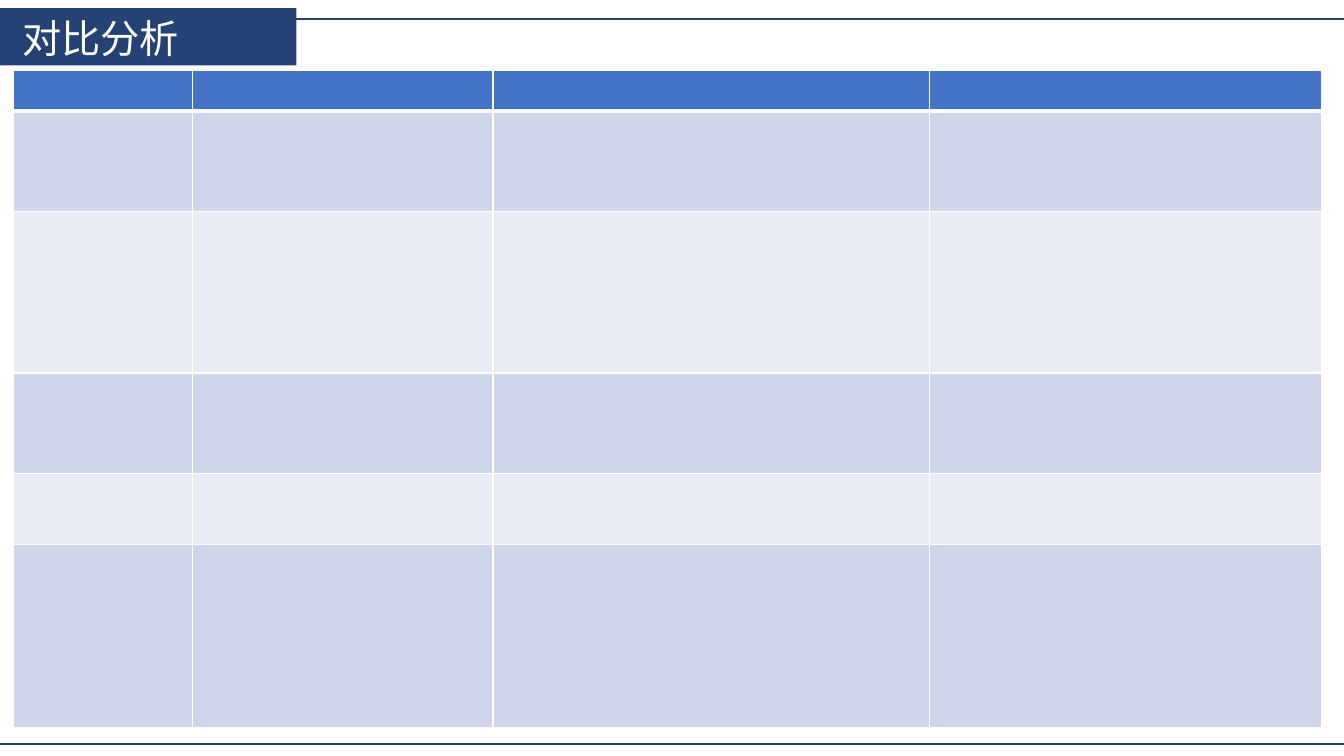
"""Build a comparison slide with a title tab, two rules and an empty banded table."""
from dataclasses import dataclass

from lxml import etree
from pptx import Presentation
from pptx.dml.color import RGBColor
from pptx.enum import shapes, text
from pptx.oxml import ns
from pptx.util import Inches, Pt


@dataclass(frozen=True)
class Theme:
    navy: RGBColor = RGBColor.from_string("254275")
    white: RGBColor = RGBColor.from_string("FFFFFF")
    header: RGBColor = RGBColor.from_string("4472C4")
    bands: tuple = (RGBColor.from_string("E9EBF5"), RGBColor.from_string("CFD5EA"))
    font: str = "Noto Sans CJK SC"
    title_size: Pt = Pt(28)
    rule_width: Pt = Pt(1.5)
    border: Pt = Pt(1)
    header_border: Pt = Pt(3)


def add_rule(slide, top):
    rule = slide.shapes.add_connector(
        shapes.MSO_CONNECTOR.STRAIGHT, 0, Inches(top), Inches(13.33), Inches(top))
    rule.line.color.rgb = theme.navy
    rule.line.width = theme.rule_width
    etree.SubElement(rule._element.spPr, ns.qn("a:effectLst"))


def add_border(cell, side, width):
    properties = cell._tc.get_or_add_tcPr()
    line = etree.SubElement(properties, ns.qn(f"a:ln{side}"), w=str(width))
    fill = etree.SubElement(line, ns.qn("a:solidFill"))
    etree.SubElement(fill, ns.qn("a:srgbClr"), val=str(theme.white))


theme = Theme()
presentation = Presentation()
presentation.slide_width = Inches(13.33)
presentation.slide_height = Inches(7.5)
slide = presentation.slides.add_slide(presentation.slide_layouts[6])

add_rule(slide, 0.19)

tab = slide.shapes.add_shape(
    shapes.MSO_SHAPE.ROUNDED_RECTANGLE, 0, Inches(0.08), Inches(2.94), Inches(0.57))
tab.adjustments[0] = 0
tab.shadow.inherit = False
tab.fill.solid()
tab.fill.fore_color.rgb = theme.navy
tab.line.fill.background()

title = slide.shapes.add_textbox(Inches(0.12), Inches(0.09), Inches(2.71), Inches(0.57))
title.text_frame.word_wrap = True
title.text_frame.auto_size = text.MSO_AUTO_SIZE.SHAPE_TO_FIT_TEXT
paragraph = title.text_frame.paragraphs[0]
paragraph.alignment = text.PP_ALIGN.JUSTIFY
run = paragraph.add_run()
run.text = "对比分析"
run.font.name = theme.font
run.font.size = theme.title_size
run.font.color.rgb = theme.white
etree.SubElement(run.font._element, ns.qn("a:ea"), typeface=theme.font)

add_rule(slide, 7.38)

column_widths = [1.78, 2.98, 4.33, 3.89]
row_heights = [0.4, 1, 1.6, 1, 0.7, 1.82]
table = slide.shapes.add_table(
    len(row_heights), len(column_widths), Inches(0.13), Inches(0.7),
    Inches(sum(column_widths)), Inches(sum(row_heights))).table
for column, width in zip(table.columns, column_widths):
    column.width = Inches(width)
for index, (row, height) in enumerate(zip(table.rows, row_heights)):
    row.height = Inches(height)
    for cell in row.cells:
        add_border(cell, "L", theme.border)
        add_border(cell, "R", theme.border)
        add_border(cell, "T", theme.header_border if index == 1 else theme.border)
        add_border(cell, "B", theme.header_border if index == 0 else theme.border)
        cell.fill.solid()
        cell.fill.fore_color.rgb = theme.bands[index % 2] if index else theme.header

presentation.save("out.pptx")
